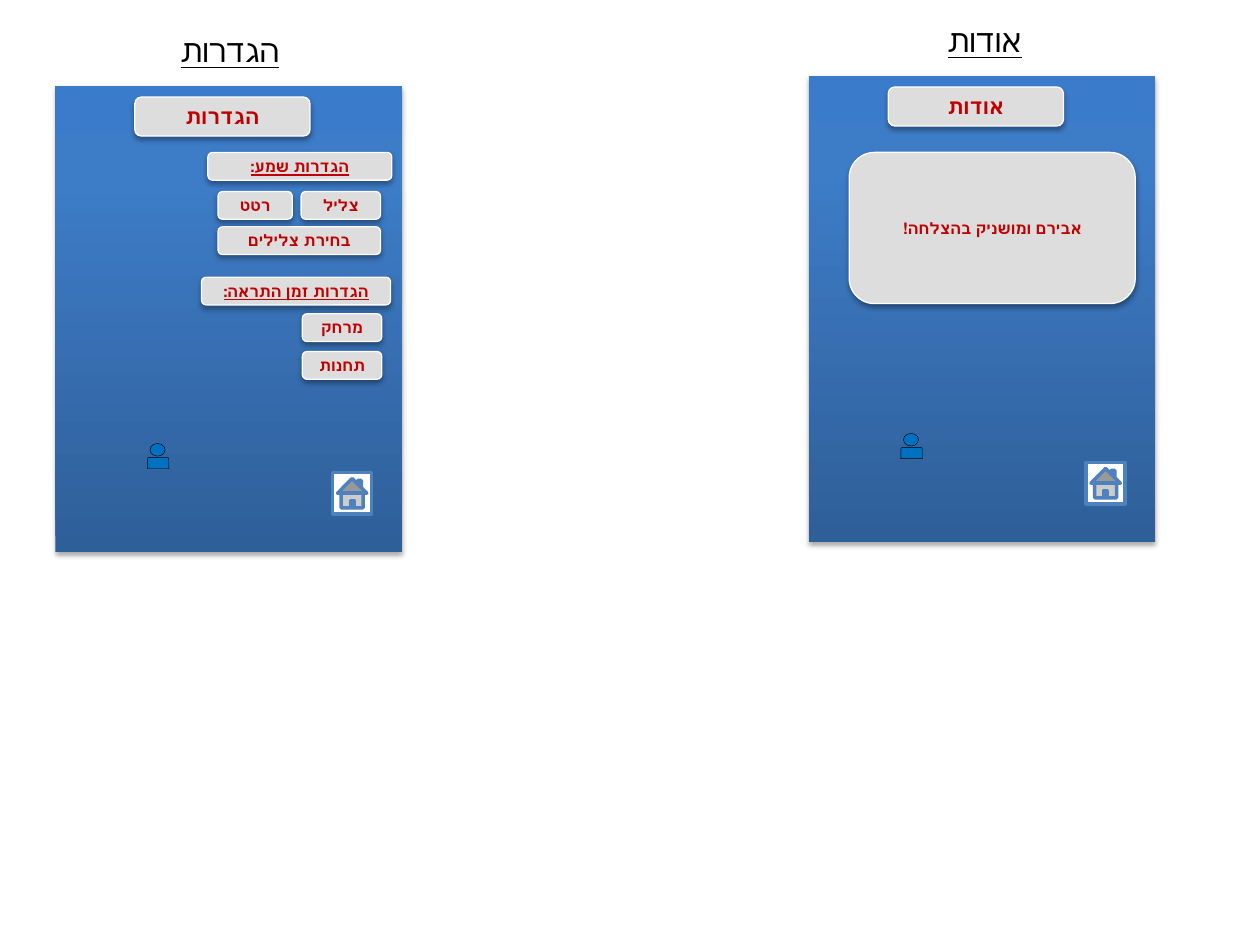
from dataclasses import dataclass

from pptx import Presentation
from pptx.dml.color import RGBColor
from pptx.enum.shapes import MSO_SHAPE as Preset
from pptx.enum.text import MSO_ANCHOR as Anchor, MSO_AUTO_SIZE as AutoSize, PP_ALIGN as Align
from pptx.oxml import parse_xml
from pptx.oxml.ns import nsdecls, qn
from pptx.shapes.autoshape import Shape
from pptx.text.text import TextFrame
from pptx.util import Inches, Pt

BLACK = RGBColor(0x00, 0x00, 0x00)
WHITE = RGBColor(0xFF, 0xFF, 0xFF)
GREY = RGBColor(0xDD, 0xDD, 0xDD)
RED = RGBColor(0xC0, 0x00, 0x00)
FIGURE_BLUE = RGBColor(0x00, 0x70, 0xC0)
HOME_BLUE = RGBColor(0x4F, 0x81, 0xBD)

GRADIENT_STOPS = ((0, "2F5F99"), (80, "3D7CC7"), (100, "3A7CCB"))
HEADER_FONT = {"name": "Lato", "size": Pt(12), "bold": True}
BUTTON_FONT = {"name": "Lato", "size": Pt(9), "bold": True}
SECTION_FONT = BUTTON_FONT | {"underline": True}
TITLE_FONT = {"name": "Calibri", "size": Pt(18), "underline": True}


@dataclass(frozen=True)
class Button:
    text: str
    left: float
    top: float
    width: float
    height: float = 0.22
    font: dict | None = None


@dataclass(frozen=True)
class Screen:
    title: str
    left: float
    top: float
    title_left: float
    message: Button | None = None


SCREENS = (
    Screen("הגדרות", 0.44, 0.68, 1.09),
    Screen("אודות", 6.42, 0.6, 7.08, Button("אבירם ומושניק בהצלחה!", 6.74, 1.21, 2.27, 1.2)),
)
SETTINGS_BUTTONS = (
    Button("צליל", 2.39, 1.52, 0.63),
    Button("הגדרות שמע:", 1.65, 1.21, 1.46, font=SECTION_FONT),
    Button("בחירת צלילים", 1.73, 1.8, 1.29),
    Button("רטט", 1.73, 1.52, 0.59),
    Button("הגדרות זמן התראה:", 1.6, 2.2, 1.5, font=SECTION_FONT),
    Button("מרחק", 2.4, 2.49, 0.63),
    Button("תחנות", 2.4, 2.79, 0.63),
)


def write_text(frame: TextFrame, text: str, font: dict, color: RGBColor) -> None:
    frame.word_wrap = True
    paragraph = frame.paragraphs[0]
    paragraph.alignment = Align.CENTER
    paragraph._p.get_or_add_pPr().set("rtl", "1")
    run = paragraph.add_run()
    run.text = text
    for name, value in font.items():
        setattr(run.font, name, value)
    run.font.color.rgb = color


def add_preset(shapes, preset: Preset, left: float, top: float, width: float, height: float) -> Shape:
    shape = shapes.add_shape(preset, Inches(left), Inches(top), Inches(width), Inches(height))
    shape.shadow.inherit = False
    return shape


def paint(shape: Shape, fill: RGBColor, line: RGBColor, line_width: float) -> None:
    shape.fill.solid()
    shape.fill.fore_color.rgb = fill
    shape.line.color.rgb = line
    shape.line.width = Pt(line_width)


def cast_shadow(shape: Shape) -> None:
    effects = shape._element.spPr.find(qn("a:effectLst"))
    effects.append(parse_xml(
        f'<a:outerShdw {nsdecls("a")} blurRad="{Pt(3.1)}" dist="{Pt(1.8)}" dir="5400000" '
        'rotWithShape="0"><a:srgbClr val="000000"><a:alpha val="35000"/></a:srgbClr></a:outerShdw>'))


def add_button(shapes, button: Button) -> None:
    shape = add_preset(shapes, Preset.ROUNDED_RECTANGLE,
                       button.left, button.top, button.width, button.height)
    paint(shape, GREY, WHITE, 0.75)
    cast_shadow(shape)
    shape.text_frame.vertical_anchor = Anchor.MIDDLE
    write_text(shape.text_frame, button.text, button.font or BUTTON_FONT, RED)


def add_backdrop(shapes, left: float, top: float) -> None:
    shape = add_preset(shapes, Preset.RECTANGLE, left, top, 2.75, 3.7)
    shape.line.fill.background()
    cast_shadow(shape)
    stops = "".join(f'<a:gs pos="{position * 1000}"><a:srgbClr val="{color}"/></a:gs>'
                    for position, color in GRADIENT_STOPS)
    shape._element.spPr.find(qn("a:prstGeom")).addnext(parse_xml(
        f'<a:gradFill {nsdecls("a")} rotWithShape="1"><a:gsLst>{stops}</a:gsLst>'
        '<a:lin ang="16200000" scaled="0"/></a:gradFill>'))


def add_screen(slide, screen: Screen) -> None:
    shapes = slide.shapes.add_group_shape().shapes
    left, top = screen.left, screen.top
    add_backdrop(shapes, left, top)
    head = add_preset(shapes, Preset.OVAL, left + 0.75, top + 2.84, 0.12, 0.1)
    body = add_preset(shapes, Preset.ROUND_2_SAME_RECTANGLE, left + 0.73, top + 2.95, 0.17, 0.09)
    for part in (head, body):
        paint(part, FIGURE_BLUE, BLACK, 0.25)
    add_button(shapes, Button(screen.title, left + 0.63, top + 0.09, 1.39, 0.31, HEADER_FONT))
    if screen.message:
        add_button(shapes, screen.message)
    home = add_preset(shapes, Preset.ACTION_BUTTON_HOME, left + 2.2, top + 3.07, 0.31, 0.33)
    paint(home, WHITE, HOME_BLUE, 2)

    title = slide.shapes.add_textbox(
        Inches(screen.title_left), Inches(top - 0.48), Inches(1.47), Inches(0.4))
    write_text(title.text_frame, screen.title, TITLE_FONT, BLACK)
    title.text_frame.auto_size = AutoSize.SHAPE_TO_FIT_TEXT


def main() -> None:
    presentation = Presentation()
    presentation.slide_width = Inches(10)
    presentation.slide_height = Inches(7.5)
    slide = presentation.slides.add_slide(presentation.slide_layouts[6])
    for screen in SCREENS:
        add_screen(slide, screen)
    for button in SETTINGS_BUTTONS:
        add_button(slide.shapes, button)
    presentation.save("out.pptx")


if __name__ == "__main__":
    main()
